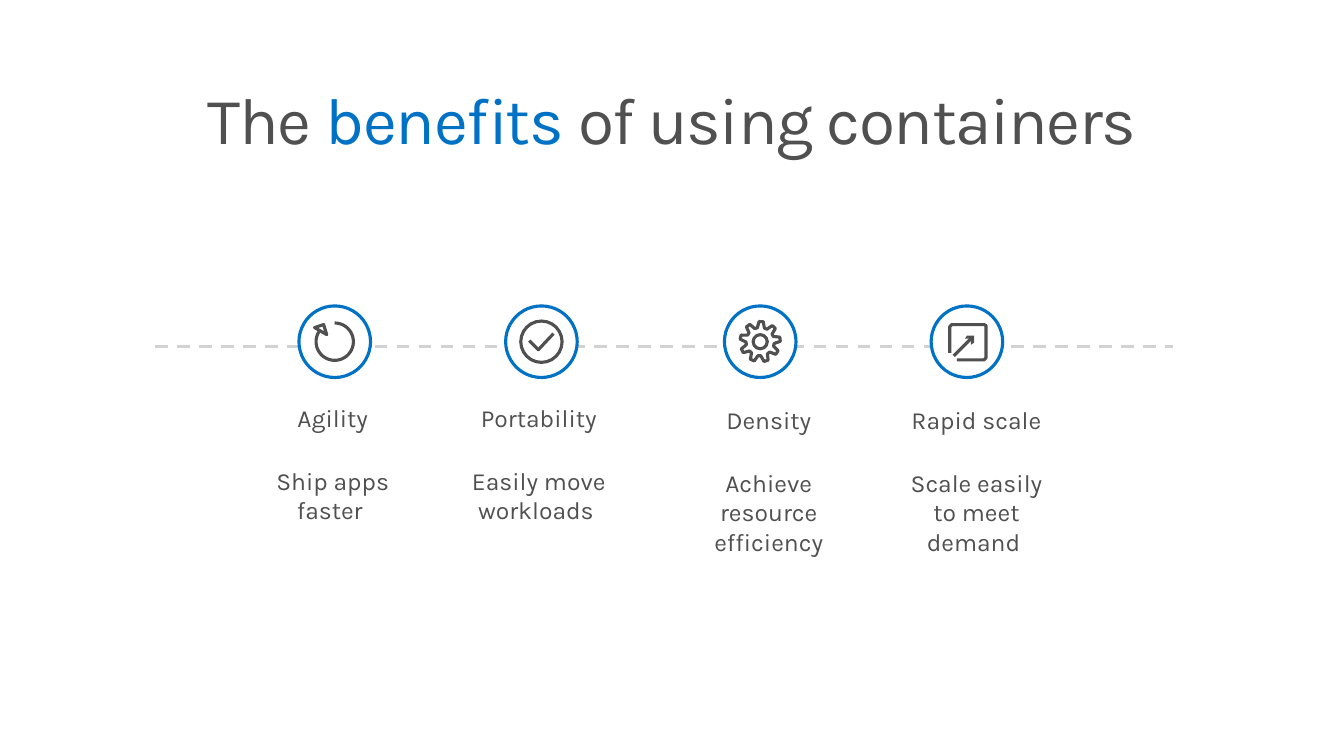
import math
from dataclasses import dataclass

import lxml.etree
import pptx
import pptx.dml.color
import pptx.enum.dml
import pptx.enum.shapes
import pptx.enum.text
import pptx.oxml.ns
import pptx.util

Inches = pptx.util.Inches
Pt = pptx.util.Pt


@dataclass(frozen=True)
class Theme:
    font: str = "Karla"
    ink: str = "505050"
    accent: str = "0072C6"
    rule: str = "D2D2D2"
    paper: str = "FFFFFF"
    title_size: float = 47
    body_size: float = 17.6
    body_gap: float = 23.5
    stroke: float = 2.25


class SlideBuilder:
    def __init__(self, page, theme):
        self.page = page
        self.theme = theme

    def color(self, name):
        return pptx.dml.color.RGBColor.from_string(name)

    def span(self, para, text, size, color):
        span = para.add_run()
        span.text = text
        span.font.name = self.theme.font
        span.font.size = Pt(size)
        span.font.color.rgb = self.color(color)
        return span

    def frame(self, box, side, top):
        frame = box.text_frame
        frame.word_wrap = True
        frame.auto_size = pptx.enum.text.MSO_AUTO_SIZE.NONE
        frame.vertical_anchor = pptx.enum.text.MSO_ANCHOR.TOP
        frame.margin_left = frame.margin_right = Inches(side)
        frame.margin_top = frame.margin_bottom = Inches(top)
        return frame

    def title(self, left, top, width, height, spans):
        box = self.page.shapes.title
        box.left, box.top = Inches(left), Inches(top)
        box.width, box.height = Inches(width), Inches(height)
        para = self.frame(box, 0.16, 0.1).paragraphs[0]
        para.alignment = pptx.enum.text.PP_ALIGN.CENTER
        para.line_spacing = 0.9
        for text, color in spans:
            span = self.span(para, text, self.theme.title_size, color)
            span.font._element.set("spc", "-100")

    def caption(self, left, top, width, height, lines):
        box = self.page.shapes.add_textbox(
            Inches(left), Inches(top), Inches(width), Inches(height))
        frame = self.frame(box, 0.16, 0.16)
        for index, line in enumerate(lines):
            para = frame.add_paragraph() if index else frame.paragraphs[0]
            para.alignment = pptx.enum.text.PP_ALIGN.CENTER
            para.space_after = Pt(self.theme.body_gap)
            self.span(para, line, self.theme.body_size, self.theme.ink)

    def paint(self, shape, fill, line):
        shape.shadow.inherit = False
        if fill:
            shape.fill.solid()
            shape.fill.fore_color.rgb = self.color(fill)
        else:
            shape.fill.background()
        if line:
            shape.line.color.rgb = self.color(line)
            shape.line.width = Pt(self.theme.stroke)
        else:
            shape.line.fill.background()

    def circle(self, center, diameter, line, fill=None):
        x, y = center
        shape = self.page.shapes.add_shape(
            pptx.enum.shapes.MSO_SHAPE.OVAL,
            Inches(x - diameter / 2), Inches(y - diameter / 2),
            Inches(diameter), Inches(diameter))
        self.paint(shape, fill, line)

    def outline(self, center, offsets, close=False, fill=None, line=None):
        x, y = center
        points = [(Inches(x + dx), Inches(y + dy)) for dx, dy in offsets]
        builder = self.page.shapes.build_freeform(*points[0], scale=1.0)
        builder.add_line_segments(points[1:], close=close)
        self.paint(builder.convert_to_shape(), fill, line)

    def line(self, start, end, color, dashed=False):
        line = self.page.shapes.add_connector(
            pptx.enum.shapes.MSO_CONNECTOR.STRAIGHT,
            *(Inches(value) for value in (*start, *end)))
        line.line.color.rgb = self.color(color)
        line.line.width = Pt(self.theme.stroke)
        if dashed:
            line.line.dash_style = pptx.enum.dml.MSO_LINE.DASH
        lxml.etree.SubElement(
            line._element.spPr, pptx.oxml.ns.qn("a:effectLst"))


def polar(radius, degrees):
    angle = math.radians(degrees)
    return radius * math.cos(angle), radius * math.sin(angle)


# Icons, drawn as offsets from the centre of their badge
def refresh_icon(builder, center):
    ink, paper = builder.theme.ink, builder.theme.paper
    arc = [polar(0.185, degrees) for degrees in range(-90, 219, 4)]
    builder.outline(center, arc, line=ink)
    head = [(-0.2, -0.14), (-0.11, -0.17), (-0.08, -0.07)]
    builder.outline(center, head, close=True, fill=paper, line=ink)


def check_icon(builder, center):
    tick = [(0.12, -0.08), (-0.03, 0.08), (-0.12, -0.01)]
    builder.outline(center, tick, line=builder.theme.ink)
    builder.circle(center, 0.41, builder.theme.ink)


def gear_icon(builder, center):
    tooth = [(0.14, -14.5), (0.2, -6), (0.2, 6), (0.14, 14.5)]
    gear = [polar(radius, 33 + 40 * index + turn)
            for index in range(9) for radius, turn in tooth]
    builder.outline(center, gear, close=True, line=builder.theme.ink)
    builder.circle(center, 0.14, builder.theme.ink)


def scale_icon(builder, center):
    x, y = center
    ink = builder.theme.ink
    builder.line((x - 0.13, y + 0.14), (x + 0.05, y - 0.04), ink)
    head = [(0.04, 0.03), (0.04, -0.03), (-0.02, -0.03),
            (0, -0.06), (0.07, -0.06), (0.07, 0.01)]
    builder.outline(center, head, close=True, fill=ink)
    window = [(-0.1, 0.18), (0.17, 0.18), (0.19, 0.16), (0.19, -0.16),
              (0.17, -0.17), (-0.15, -0.17), (-0.17, -0.15), (-0.17, 0.11)]
    builder.outline(center, window, line=ink)


def main():
    theme = Theme()
    deck = pptx.Presentation()
    deck.slide_width, deck.slide_height = Inches(13.33), Inches(7.5)
    builder = SlideBuilder(deck.slides.add_slide(deck.slide_layouts[5]), theme)

    # Title
    builder.title(0.29, 0.77, 12.75, 0.98, [
        ("The", theme.ink),
        (" benefits ", theme.accent),
        ("of using containers", theme.ink)])

    # Dashed line behind the badges
    builder.line((1.54, 3.44), (11.63, 3.44), theme.rule, dashed=True)

    # Benefits: icon, badge centre, caption box, heading and text
    benefits = [
        (refresh_icon, 3.32, (2.34, 3.84, 1.92, 1.54),
         ("Agility", "Ship apps faster ")),
        (check_icon, 5.37, (4.46, 3.84, 1.77, 1.54),
         ("Portability", "Easily move workloads ")),
        (gear_icon, 7.54, (6.74, 3.86, 1.77, 1.83),
         ("Density", "Achieve resource efficiency")),
        (scale_icon, 9.59, (8.8, 3.86, 1.77, 1.83),
         ("Rapid scale", "Scale easily to meet demand ")),
    ]
    for draw_icon, x, area, lines in benefits:
        center = (x, 3.39)
        builder.caption(*area, lines)
        builder.circle(center, 0.71, theme.accent, theme.paper)
        draw_icon(builder, center)

    deck.save("out.pptx")


if __name__ == "__main__":
    main()
